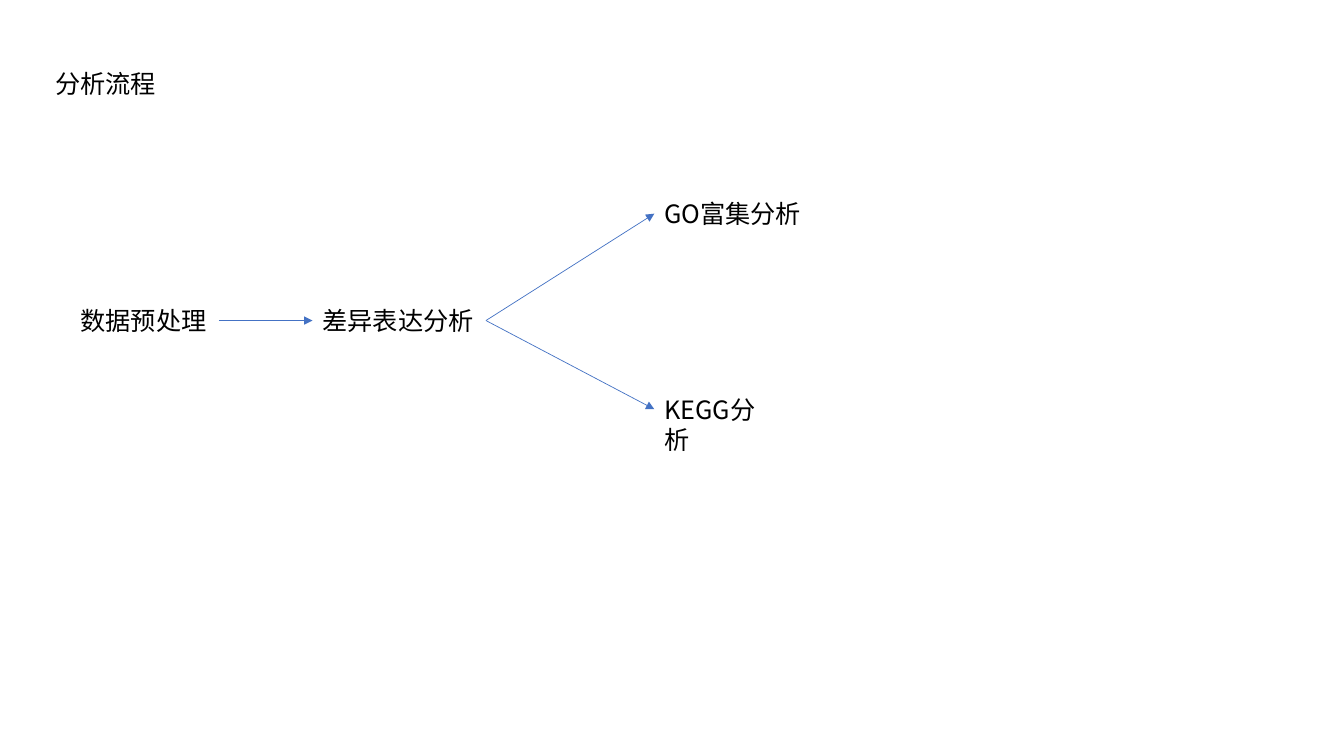
from lxml.etree import SubElement
from pptx import Presentation
from pptx.dml.color import RGBColor
from pptx.enum.shapes import MSO_CONNECTOR
from pptx.enum.text import MSO_ANCHOR, MSO_AUTO_SIZE
from pptx.oxml.ns import qn
from pptx.util import Inches, Pt

CELL = 0.1  # grid pitch in inches
ROW = 4  # label height in cells
FACE = "Noto Sans CJK SC"
FONT = {"name": FACE, "size": Pt(18)}
FRAME = {
    "word_wrap": True,
    "auto_size": MSO_AUTO_SIZE.NONE,
    "vertical_anchor": MSO_ANCHOR.TOP,
}
RIGHT, LEFT = 3, 1


def grid(cells):
    return Inches(cells * CELL)


def paint(color, code):
    color.rgb = RGBColor.from_string(code)


def style(item, values):
    for key, value in values.items():
        setattr(item, key, value)


def label(slide, text, col, row, span):
    box = slide.shapes.add_textbox(grid(col), grid(row), grid(span), grid(ROW))
    style(box.text_frame, FRAME)
    run = box.text_frame.paragraphs[0].add_run()
    run.text = text
    style(run.font, FONT)
    paint(run.font.color, "000000")
    SubElement(run.font._element, qn("a:ea"), typeface=FACE)
    return box


def arrow(slide, start, end):
    link = slide.shapes.add_connector(MSO_CONNECTOR.STRAIGHT, 0, 0, 0, 0)
    link.begin_connect(start, RIGHT)
    link.end_connect(end, LEFT)
    link.line.width = Pt(0.5)
    paint(link.line.color, "4472C4")
    SubElement(link.line._get_or_add_ln(), qn("a:tailEnd"), type="triangle")
    SubElement(link._element.spPr, qn("a:effectLst"))


def main():
    deck = Presentation()
    deck.slide_width, deck.slide_height = Inches(13.33), Inches(7.5)
    slide = deck.slides.add_slide(deck.slide_layouts[6])

    # Heading
    label(slide, "分析流程", 4.5, 6.3, 12.1)

    # Steps of the workflow
    prep = label(slide, "数据预处理", 7, 29.8, 14.7)
    diff = label(slide, "差异表达分析", 31, 29.8, 17.2)
    go = label(slide, "GO富集分析", 64.9, 19.2, 15.7)
    kegg = label(slide, "KEGG分析", 64.9, 38.6, 13.1)

    # Flow between the steps
    for start, end in ((prep, diff), (diff, go), (diff, kegg)):
        arrow(slide, start, end)

    deck.save("out.pptx")


if __name__ == "__main__":
    main()
